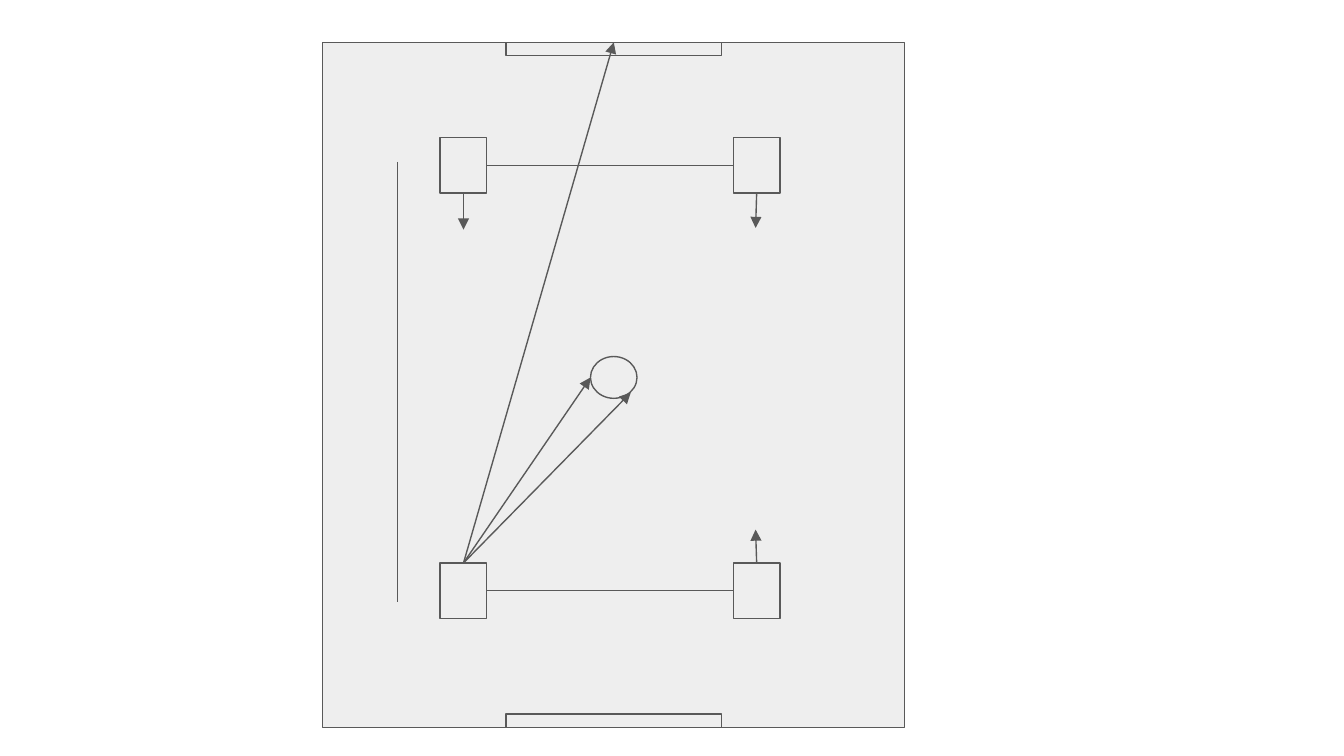
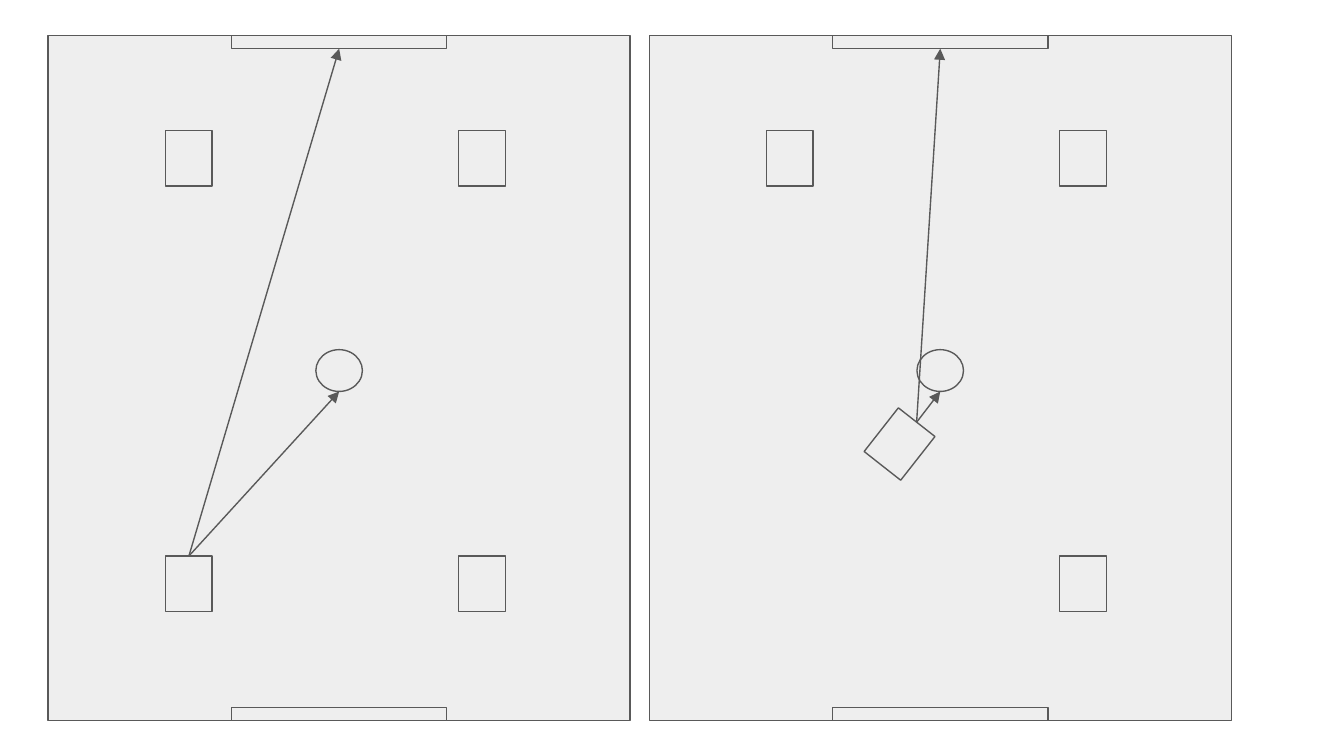
"""Build two slides of robot soccer fields with lines of sight and moves."""
from math import cos, radians, sin

from lxml.etree import SubElement
from pptx import Presentation
from pptx.dml.color import RGBColor
from pptx.enum.shapes import MSO_CONNECTOR, MSO_SHAPE
from pptx.oxml.ns import qn
from pptx.util import Cm, Pt

COLORS = {"field": "EEEEEE", "line": "595959"}
FIELD_WIDTH, FIELD_HEIGHT = 11.0, 12.95
GOAL_WIDTH, GOAL_HEIGHT = 4.07, 0.25
BALL_WIDTH, BALL_HEIGHT, BALL_TOP = 0.88, 0.79, 5.94
ROBOT_WIDTH, ROBOT_HEIGHT = 0.88, 1.05
TOP, LEFT, BOTTOM, RIGHT = range(4)
SIDES = {TOP: (0, -0.5), LEFT: (-0.5, 0), BOTTOM: (0, 0.5), RIGHT: (0.5, 0)}

CORNERS = {
    "own left": (2.22, 9.84, 0),
    "own right": (7.76, 9.84, 0),
    "far left": (2.22, 1.8, 0),
    "far right": (7.76, 1.8, 0),
}
NEAR_BALL = {**CORNERS, "own left": (4.29, 7.2, 38.1)}

BALL_LEFT_POINT = ((FIELD_WIDTH - BALL_WIDTH) / 2, BALL_TOP + BALL_HEIGHT / 2)
BALL_BOTTOM_POINT = (FIELD_WIDTH / 2, BALL_TOP + BALL_HEIGHT)
BALL_CORNER_POINT = (5.82, 6.62)

MOVES = [
    (("own left", TOP), ("far goal", TOP), True),
    (("own right", TOP), (8.18, 9.21), True),
    (("own left", RIGHT), ("own right", LEFT), False),
    (("far left", BOTTOM), (2.66, 3.54), True),
    (("far right", BOTTOM), (8.18, 3.51), True),
    (("far left", RIGHT), ("far right", LEFT), False),
    ((1.41, 2.26), (1.41, 10.57), False),
    (("own left", TOP), BALL_LEFT_POINT, True),
    (("own left", TOP), BALL_CORNER_POINT, True),
]
SIGHTS = [
    (("own left", TOP), ("far goal", BOTTOM), True),
    (("own left", TOP), BALL_BOTTOM_POINT, True),
]

PAGES = [
    [((6.1, 0.8), CORNERS, MOVES)],
    [((0.91, 0.67), CORNERS, SIGHTS), ((12.27, 0.67), NEAR_BALL, SIGHTS)],
]


def style_line(line):
    line.color.rgb = RGBColor.from_string(COLORS["line"])
    line.width = Pt(0.75)


def add_outline(page, kind, origin, left, top, width, height, turn=0):
    shape = page.shapes.add_shape(
        kind, Cm(origin[0] + left), Cm(origin[1] + top), Cm(width), Cm(height))
    shape.rotation = turn
    shape.shadow.inherit = False
    shape.fill.solid()
    shape.fill.fore_color.rgb = RGBColor.from_string(COLORS["field"])
    style_line(shape.line)
    return shape


def side_middle(shape, side):
    across, down = SIDES[side]
    across, down = across * shape.width, down * shape.height
    angle = radians(shape.rotation)
    x = shape.left + shape.width / 2 + across * cos(angle) - down * sin(angle)
    y = shape.top + shape.height / 2 + across * sin(angle) + down * cos(angle)
    return round(x), round(y)


def locate(end, origin, parts):
    if end[0] in parts:
        return side_middle(parts[end[0]], end[1])
    return Cm(origin[0] + end[0]), Cm(origin[1] + end[1])


def add_line(page, origin, parts, start, finish, arrow):
    begin, end = (locate(place, origin, parts) for place in (start, finish))
    line = page.shapes.add_connector(MSO_CONNECTOR.STRAIGHT, *begin, *end)
    if start[0] in parts:
        line.begin_connect(parts[start[0]], start[1])
        line.begin_x, line.begin_y = begin
    if finish[0] in parts:
        line.end_connect(parts[finish[0]], finish[1])
        line.end_x, line.end_y = end
    style_line(line.line)
    if arrow:
        SubElement(line.line._get_or_add_ln(), qn("a:tailEnd"),
                   type="triangle", w="med", len="med")
    SubElement(line._element.spPr, qn("a:effectLst"))


def add_field(page, origin, robots, lines):
    box = MSO_SHAPE.RECTANGLE
    add_outline(page, box, origin, 0, 0, FIELD_WIDTH, FIELD_HEIGHT)
    parts = {}
    goal_left = (FIELD_WIDTH - GOAL_WIDTH) / 2
    for name, top in (("far goal", 0), ("own goal", FIELD_HEIGHT - GOAL_HEIGHT)):
        parts[name] = add_outline(
            page, box, origin, goal_left, top, GOAL_WIDTH, GOAL_HEIGHT)
    add_outline(page, MSO_SHAPE.OVAL, origin, (FIELD_WIDTH - BALL_WIDTH) / 2,
                BALL_TOP, BALL_WIDTH, BALL_HEIGHT)
    for name, (left, top, turn) in robots.items():
        parts[name] = add_outline(
            page, box, origin, left, top, ROBOT_WIDTH, ROBOT_HEIGHT, turn)
    for start, finish, arrow in lines:
        add_line(page, origin, parts, start, finish, arrow)


def main():
    deck = Presentation()
    deck.slide_width, deck.slide_height = Cm(25.4), Cm(14.29)
    for fields in PAGES:
        page = deck.slides.add_slide(deck.slide_layouts[6])
        for origin, robots, lines in fields:
            add_field(page, origin, robots, lines)
    deck.save("out.pptx")


if __name__ == "__main__":
    main()
